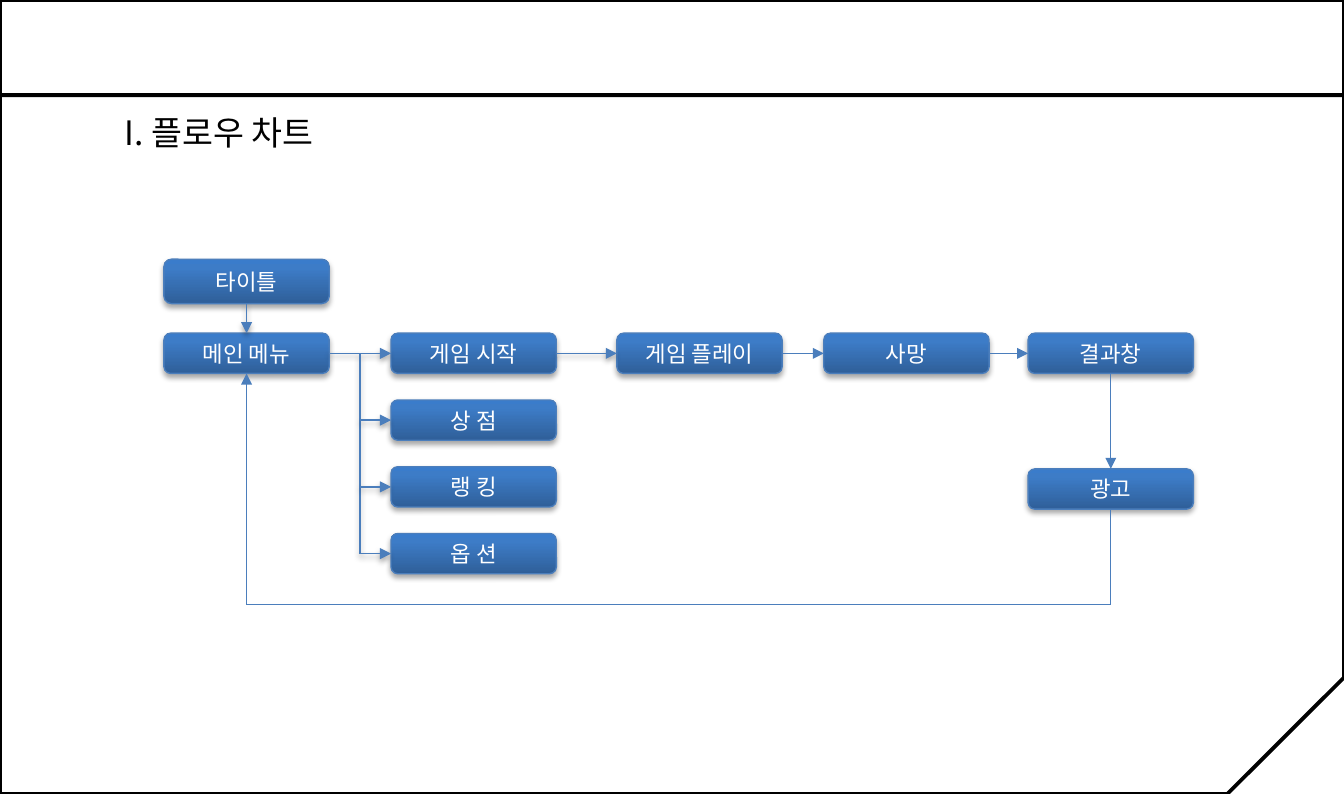
"""Build the game flow chart slide on a grid of tenth-inch cells."""
from copy import deepcopy

from lxml import etree
from pptx import Presentation
from pptx import util as u
from pptx.dml.color import RGBColor
from pptx.enum import shapes, text
from pptx.oxml.ns import qn

BLACK = RGBColor(0x00, 0x00, 0x00)
WHITE = RGBColor(0xFF, 0xFF, 0xFF)
EDGE = RGBColor(0x4B, 0x7E, 0xBC)
GRADIENT = (
    (0, RGBColor(0x2F, 0x5F, 0x99)),
    (0.8, RGBColor(0x3D, 0x7C, 0xC7)),
    (1, RGBColor(0x3A, 0x7C, 0xCB)),
)
FONT = "Noto Sans CJK KR"
COLS, ROWS = 100, 59.1
HEADER = 7.1
BOX_W, BOX_H = 12.3, 3
TOP, RIGHT, BOTTOM, LEFT = 0, 3, 2, 1
MENU_ROW, MENU_STEP = 24.8, 4.97


def cells(*counts):
    return [u.Inches(count / 10) for count in counts]


class FlowSlide:
    def __init__(self, deck):
        self.slide = deck.slides.add_slide(deck.slide_layouts[5])
        self.shapes = self.slide.shapes

    def style_text(self, shape, size, color, align):
        paragraph = shape.text_frame.paragraphs[0]
        paragraph.alignment = align
        paragraph.font.size = u.Pt(size)
        paragraph.font.color.rgb = color
        paragraph.font.name = FONT
        for props in shape.element.iter(qn("a:defRPr")):
            etree.SubElement(props, qn("a:ea"), typeface=FONT)

    def cast_shadow(self, effects):
        shadow = etree.SubElement(
            effects, qn("a:outerShdw"), blurRad=str(u.Pt(3.1)),
            dist=str(u.Pt(1.8)), dir="5400000", rotWithShape="0")
        tone = etree.SubElement(shadow, qn("a:srgbClr"), val=str(BLACK))
        etree.SubElement(tone, qn("a:alpha"), val="35000")

    def title(self, wording, left, top, width, height):
        heading = self.shapes.title
        heading.left, heading.top, heading.width, heading.height = cells(left, top, width, height)
        heading.text_frame.text = wording
        heading.text_frame.word_wrap = False
        heading.text_frame.auto_size = text.MSO_AUTO_SIZE.SHAPE_TO_FIT_TEXT
        heading.text_frame.vertical_anchor = text.MSO_ANCHOR.TOP
        self.style_text(heading, 18, BLACK, text.PP_ALIGN.LEFT)
        heading.element.getparent().append(heading.element)

    def panel(self, kind, top, height, filled=False):
        frame = self.shapes.add_shape(kind, *cells(0, top, COLS, height))
        frame.shadow.inherit = False
        if filled:
            frame.fill.solid()
            frame.fill.fore_color.rgb = WHITE
        else:
            frame.fill.background()
        frame.line.color.rgb = BLACK
        frame.line.width = u.Pt(2)
        return frame

    def step(self, wording, col, row, height=BOX_H):
        box = self.shapes.add_shape(
            shapes.MSO_SHAPE.ROUNDED_RECTANGLE, *cells(col, row, BOX_W, height))
        box.fill.gradient()
        box.fill.gradient_angle = 90
        stops = next(box.element.iter(qn("a:gsLst")))
        stops.insert(1, deepcopy(stops[0]))
        for stop, (position, color) in zip(box.fill.gradient_stops, GRADIENT):
            stop.position = position
            stop.color.rgb = color
        box.line.color.rgb = EDGE
        box.line.width = u.Pt(0.75)
        box.shadow.inherit = False
        self.cast_shadow(next(box.element.iter(qn("a:effectLst"))))
        box.text_frame.text = wording
        box.text_frame.word_wrap = True
        box.text_frame.vertical_anchor = text.MSO_ANCHOR.MIDDLE
        self.style_text(box, 12, WHITE, text.PP_ALIGN.CENTER)
        return box

    def link(self, start=(0, 0), end=(0, 0), source=None, target=None,
             arrow=True, shadow=False, color=EDGE, weight=0.75):
        line = self.shapes.add_connector(
            shapes.MSO_CONNECTOR.STRAIGHT, *cells(*start, *end))
        if source:
            line.begin_connect(*source)
        if target:
            line.end_connect(*target)
        line.line.color.rgb = color
        line.line.width = u.Pt(weight)
        if arrow:
            outline = next(line.element.iter(qn("a:ln")))
            etree.SubElement(outline, qn("a:tailEnd"), type="triangle")
        effects = etree.SubElement(line.element.spPr, qn("a:effectLst"))
        if shadow:
            self.cast_shadow(effects)


def main():
    deck = Presentation()
    deck.slide_width, deck.slide_height = cells(COLS, ROWS)
    page = FlowSlide(deck)

    body = page.panel(shapes.MSO_SHAPE.SNIP_1_RECTANGLE, HEADER, ROWS - HEADER, filled=True)
    body.element.spPr.find(qn("a:xfrm")).set("flipV", "1")
    page.link((0, HEADER), (COLS, HEADER), arrow=False, color=BLACK, weight=2.25)
    page.panel(shapes.MSO_SHAPE.RECTANGLE, 0, HEADER)
    page.title("I. 플로우 차트", 8.3, 7.8, 17.7, 4)

    intro = page.step("타이틀", 12.2, 19.3, 3.3)
    main_menu = page.step("메인 메뉴", 12.2, MENU_ROW)
    choices = [page.step(wording, 29.1, MENU_ROW + MENU_STEP * i)
               for i, wording in enumerate(("게임 시작", "상 점", "랭 킹", "옵 션"))]
    play, death, result = [page.step(wording, col, MENU_ROW) for wording, col in
                           (("게임 플레이", 45.9), ("사망", 61.3), ("결과창", 76.5))]
    advert = page.step("광고", 76.5, 34.9)

    page.link(source=(intro, BOTTOM), target=(main_menu, TOP), shadow=True)
    page.link(source=(main_menu, RIGHT), target=(choices[0], LEFT), shadow=True)
    trunk, first = 26.8, MENU_ROW + BOX_H / 2
    page.link((trunk, first), (trunk, first + 3 * MENU_STEP), arrow=False, shadow=True)
    for i, choice in enumerate(choices[1:], 1):
        page.link((trunk, first + MENU_STEP * i), target=(choice, LEFT), shadow=True)

    page.link(source=(choices[0], RIGHT), target=(play, LEFT), shadow=True)
    page.link(source=(play, RIGHT), target=(death, LEFT))
    page.link(source=(death, RIGHT), target=(result, LEFT))
    page.link(source=(result, BOTTOM), target=(advert, TOP))

    menu_mid, advert_mid, loop_row = 12.2 + BOX_W / 2, 76.5 + BOX_W / 2, 45
    page.link(end=(advert_mid, loop_row), source=(advert, BOTTOM), arrow=False)
    page.link((menu_mid, loop_row), (advert_mid, loop_row), arrow=False)
    page.link((menu_mid, loop_row), target=(main_menu, BOTTOM))
    deck.save("out.pptx")


if __name__ == "__main__":
    main()
